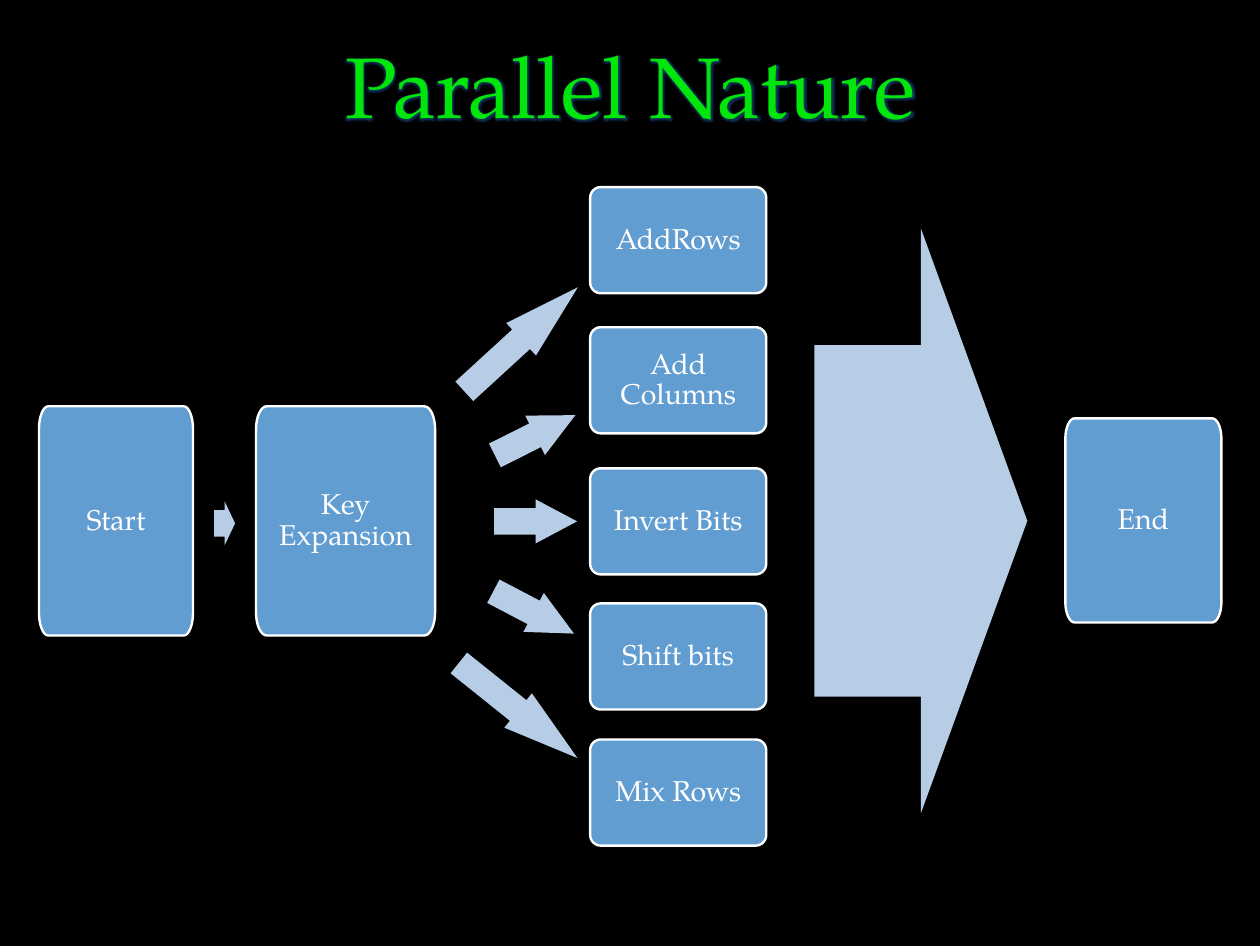
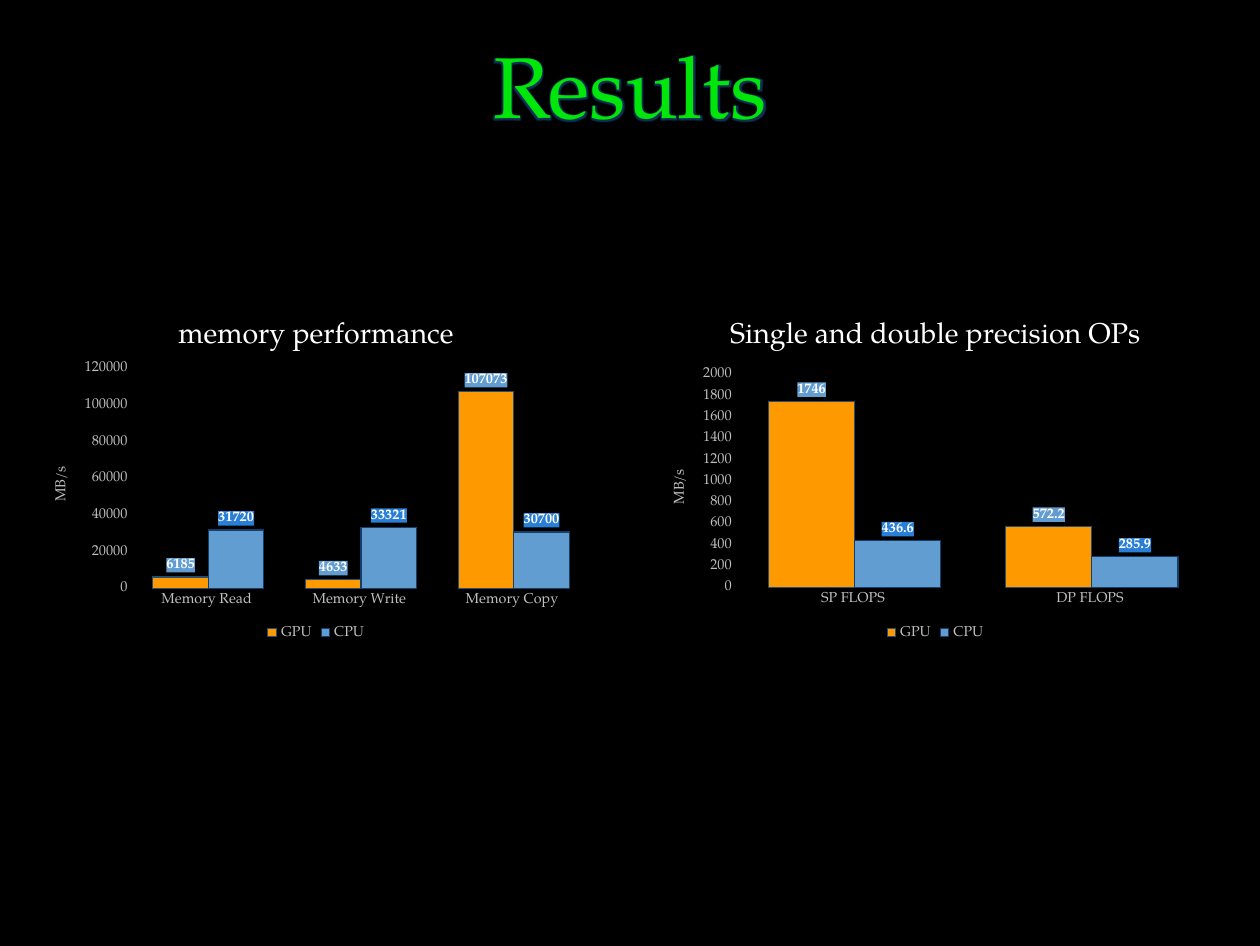
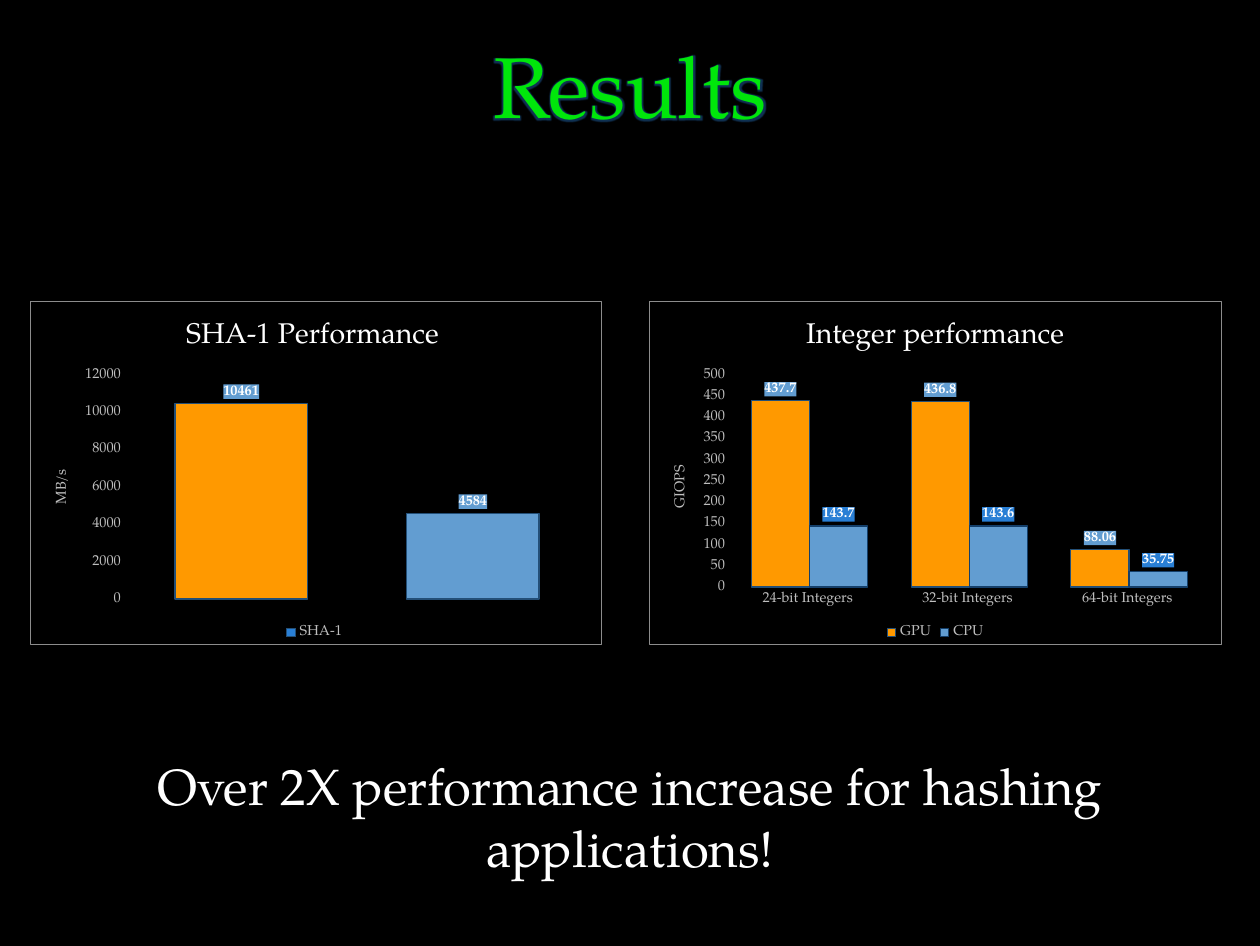
import math
from lxml import etree
from pptx import Presentation
from pptx import util as u
from pptx.chart import data as cd
from pptx.dml.color import RGBColor
from pptx.enum import chart as ch, shapes, text
from pptx.oxml import parse_xml
from pptx.oxml.ns import nsdecls, qn

PX = 8000  # EMU per px
W = 1260
FONT = "TeX Gyre Pagella"
C = {
    "back": "000000", "title": "00E60B", "outline": "92D050", "glow": "297FD5",
    "text": "FFFFFF", "axis": "BFBFBF", "border": "8C8C8C",
    "box": "629DD1", "arrow": "B7CCE5",
    "gpu": "FF9900", "cpu": "629DD1", "sha": "297FD5",
    "gpu_line": "234F77", "cpu_line": "143F6A",
    "gpu_label": "629DD1", "cpu_label": "297FD5",
}


# Shared helpers
def rgb(name):
    return RGBColor.from_string(C[name])


def px(*lengths):
    return [u.Emu(round(n * PX)) for n in lengths]


def style(font, size, color, bold=False):
    font.name, font.size, font.bold = FONT, u.Pt(size), bold
    font.color.rgb = rgb(color)


def paint(fmt, fill, line=None, width=0.75):
    fmt.fill.solid()
    fmt.fill.fore_color.rgb = rgb(fill)
    if line:
        fmt.line.color.rgb = rgb(line)
        fmt.line.width = u.Pt(width)
    else:
        fmt.line.fill.background()


def write(tf, words, size, color):
    tf.word_wrap = True
    p = tf.paragraphs[0]
    p.alignment = text.PP_ALIGN.CENTER
    r = p.add_run()
    r.text = words
    style(r.font, size, color)
    return p, r


def sp_pr(fill, line=None):
    """Chart part properties: solid fill and optional thin border."""
    edge = (f'<a:solidFill><a:srgbClr val="{C[line]}"/></a:solidFill>'
            if line else "<a:noFill/>")
    return parse_xml(
        f'<c:spPr {nsdecls("c", "a")}><a:solidFill><a:srgbClr val="{C[fill]}"/>'
        f'</a:solidFill><a:ln w="6350">{edge}</a:ln></c:spPr>')


# Master, layout and title
def set_master(prs):
    fill = prs.slide_master.background.fill
    fill.solid()
    fill.fore_color.rgb = rgb("back")
    layout = prs.slide_layouts[5]
    title = layout.placeholders[0]
    title.left, title.top, title.width, title.height = px(0, 25, W, 117)
    return layout


def add_slide(prs, layout, words):
    s = prs.slides.add_slide(layout)
    tf = s.shapes.title.text_frame
    tf.vertical_anchor = text.MSO_ANCHOR.BOTTOM
    tf.auto_size = text.MSO_AUTO_SIZE.NONE
    tf.margin_left, tf.margin_right, tf.margin_top, tf.margin_bottom = px(13, 13, 6, 6)
    p, r = write(tf, words, 54, "title")
    # Thin outline and soft glow around the letters
    r_pr = r.font._element
    r_pr.insert(0, parse_xml(
        f'<a:ln {nsdecls("a")} w="9525"><a:solidFill>'
        f'<a:srgbClr val="{C["outline"]}"/></a:solidFill></a:ln>'))
    r_pr.find(qn("a:solidFill")).addnext(parse_xml(
        f'<a:effectLst {nsdecls("a")}><a:glow rad="38100"><a:srgbClr val="{C["glow"]}">'
        f'<a:alpha val="40000"/></a:srgbClr></a:glow></a:effectLst>'))
    return s


# Flow diagram
def add_box(s, box, words):
    """Box with elliptic corners: 6% of the width by 10% of the height."""
    x, y, w, h = box
    rx, ry = 0.06 * w, 0.1 * h
    corners = [(x + w - rx, y + h - ry), (x + rx, y + h - ry),
               (x + rx, y + ry), (x + w - rx, y + ry)]
    points = []
    for i, (cx, cy) in enumerate(corners):
        for step in range(9):
            a = math.radians(90 * i + 11.25 * step)
            points.append(px(cx + rx * math.cos(a), cy + ry * math.sin(a)))
    builder = s.shapes.build_freeform(*points[0])
    builder.add_line_segments(points[1:], close=True)
    sp = builder.convert_to_shape()
    sp.shadow.inherit = False
    paint(sp, "box", "text", 1.5)
    tf = sp.text_frame
    tf.vertical_anchor = text.MSO_ANCHOR.MIDDLE
    tf.margin_left, tf.margin_right, tf.margin_top, tf.margin_bottom = px(10, 10, 10, 10)
    p, r = write(tf, words, 18, "text")
    p.line_spacing = 0.9


def add_arrow(s, box, rotation=0):
    """Arrow with a shaft of 60% of the height and a head of half the length."""
    x, y, w, h = box
    sp = s.shapes.add_shape(shapes.MSO_SHAPE.RIGHT_ARROW, *px(x, y, w, h))
    sp.adjustments[0] = 0.6
    sp.adjustments[1] = 0.5 * w / min(w, h)
    sp.rotation = rotation
    sp.shadow.inherit = False
    paint(sp, "arrow")


def add_flow(s, box):
    x, y, w, h = box

    def at(dx, dy, dw, dh):
        return x + dx, y + dy, dw, dh

    # Sequential part
    add_box(s, at(0, 219, 154, 229), "Start")
    add_arrow(s, at(175, 314, 21, 44))
    add_box(s, at(217, 219, 179, 229), "Key Expansion")

    # Parallel part: offset of the step, its name, then arrow left, top, width, turn
    steps = [
        (0, "AddRows", 405, 130, 154, 317.5),
        (140, "Add Columns", 451, 226, 90, 333.4),
        (281, "Invert Bits", 455, 312, 83, 0),
        (416, "Shift bits", 449, 403, 91, 27.7),
        (552, "Mix Rows", 403, 501, 152, 38.7),
    ]
    for dy, name, left, top, length, turn in steps:
        add_arrow(s, at(left, top, length, 44), turn)
        add_box(s, at(551, dy, 176, 106), name)

    # Join
    add_arrow(s, at(775, 41, 213, 585))
    add_box(s, at(w - 156, 231, 156, 204), "End")


# Charts
def format_axis(axis):
    axis.has_major_gridlines = False
    axis.major_tick_mark = axis.minor_tick_mark = ch.XL_TICK_MARK.NONE
    axis.format.line.fill.background()
    style(axis.tick_labels.font, 9, "axis")


def label_series(series, fill):
    labels = series.data_labels
    labels.show_value = True
    labels.position = ch.XL_LABEL_POSITION.OUTSIDE_END
    style(labels.font, 9, "text", True)
    labels._element.find(qn("c:txPr")).addprevious(sp_pr(fill))


def place_plot(chart, plot, size):
    """Fix the inner plot area, given in px inside the chart."""
    area = chart._chartSpace.chart.plotArea
    old = area.find(qn("c:layout"))
    if old is not None:
        area.remove(old)
    layout = etree.Element(qn("c:layout"))
    manual = etree.SubElement(layout, qn("c:manualLayout"))
    values = [("layoutTarget", "inner"), ("xMode", "edge"), ("yMode", "edge")]
    values += [(k, f"{n / size[i % 2]:.4f}") for i, (k, n) in enumerate(zip("xywh", plot))]
    for key, value in values:
        etree.SubElement(manual, qn("c:" + key)).set("val", value)
    area.insert(0, layout)


def add_bars(s, box, title, unit, cats, series, scale, plot, border=None):
    """series: (name, values, colour); scale: (maximum, step)."""
    data = cd.CategoryChartData()
    data.categories = cats
    for name, values, _ in series:
        data.add_series(name, values)
    chart = s.shapes.add_chart(
        ch.XL_CHART_TYPE.COLUMN_CLUSTERED, *px(*box), data).chart
    style(chart.font, 10, "text")
    chart._chartSpace.find(qn("c:txPr")).addprevious(sp_pr("back", border))

    # Title and legend
    chart.has_title = True
    write(chart.chart_title.text_frame, title, 18, "text")
    chart.chart_title.include_in_layout = False
    chart.has_legend = True
    chart.legend.position = ch.XL_LEGEND_POSITION.BOTTOM
    chart.legend.include_in_layout = False
    style(chart.legend.font, 9, "axis")

    # Axes
    format_axis(chart.category_axis)
    value_axis = chart.value_axis
    format_axis(value_axis)
    value_axis.minimum_scale = 0
    value_axis.maximum_scale, value_axis.major_unit = scale
    tf = value_axis.axis_title.text_frame
    write(tf, unit, 9, "axis")
    body = tf._txBody.find(qn("a:bodyPr"))
    body.set("rot", "-5400000")
    body.set("vert", "horz")

    # Bars
    bars = chart.plots[0]
    bars.gap_width, bars.overlap, bars.vary_by_categories = 75, 0, False
    for i, (sr, (_, _, color)) in enumerate(zip(bars.series, series)):
        kind = ("gpu", "cpu")[i]
        paint(sr.format, color, kind + "_line")
        label_series(sr, kind + "_label")
    place_plot(chart, plot, box[2:])
    return chart


def gpu_cpu(gpu, cpu):
    return [("GPU", gpu, "gpu"), ("CPU", cpu, "cpu")]


# Closing statement
def add_statement(s, box, words):
    tf = s.shapes.add_textbox(*px(*box)).text_frame
    write(tf, words, 32, "text")


def main():
    prs = Presentation()
    prs.slide_width, prs.slide_height = u.Inches(11.02), u.Inches(8.27)
    layout = set_master(prs)
    left, right = [(x, 301, 572, 343) for x in (30, 649)]

    s = add_slide(prs, layout, "Parallel Nature")
    add_flow(s, (39, 187, 1182, 658))

    s = add_slide(prs, layout, "Results")
    add_bars(s, left, "memory performance", "MB/s",
             ["Memory Read ", "Memory Write ", "Memory Copy "],
             gpu_cpu([6185, 4633, 107073], [31720, 33321, 30700]),
             (120000, 20000), (102, 67, 458, 220))
    add_bars(s, right, "Single and double precision OPs", "MB/s",
             ["SP FLOPS ", "DP FLOPS "],
             gpu_cpu([1746, 572.2], [436.6, 285.9]),
             (2000, 200), (87, 73, 474, 213))

    s = add_slide(prs, layout, "Results")
    chart = add_bars(s, left, "SHA-1 Performance ", "MB/s", ["1", "2"],
                     [("SHA-1 ", [10461, 4584], "sha")],
                     (12000, 2000), (95, 73, 464, 225), "border")
    chart.category_axis.visible = False
    for i, color in enumerate(("gpu", "cpu")):
        paint(chart.plots[0].series[0].points[i].format, color, "gpu_line")
    add_bars(s, right, "Integer performance", "GIOPS",
             ["24-bit Integers ", "32-bit Integers ", "64-bit Integers "],
             gpu_cpu([437.7, 436.8, 88.06], [143.7, 143.6, 35.75]),
             (500, 50), (80, 73, 480, 213), "border")
    add_statement(s, (0, 749, W, 135),
                  "Over 2X performance increase for hashing applications!")

    prs.save("out.pptx")


if __name__ == "__main__":
    main()
